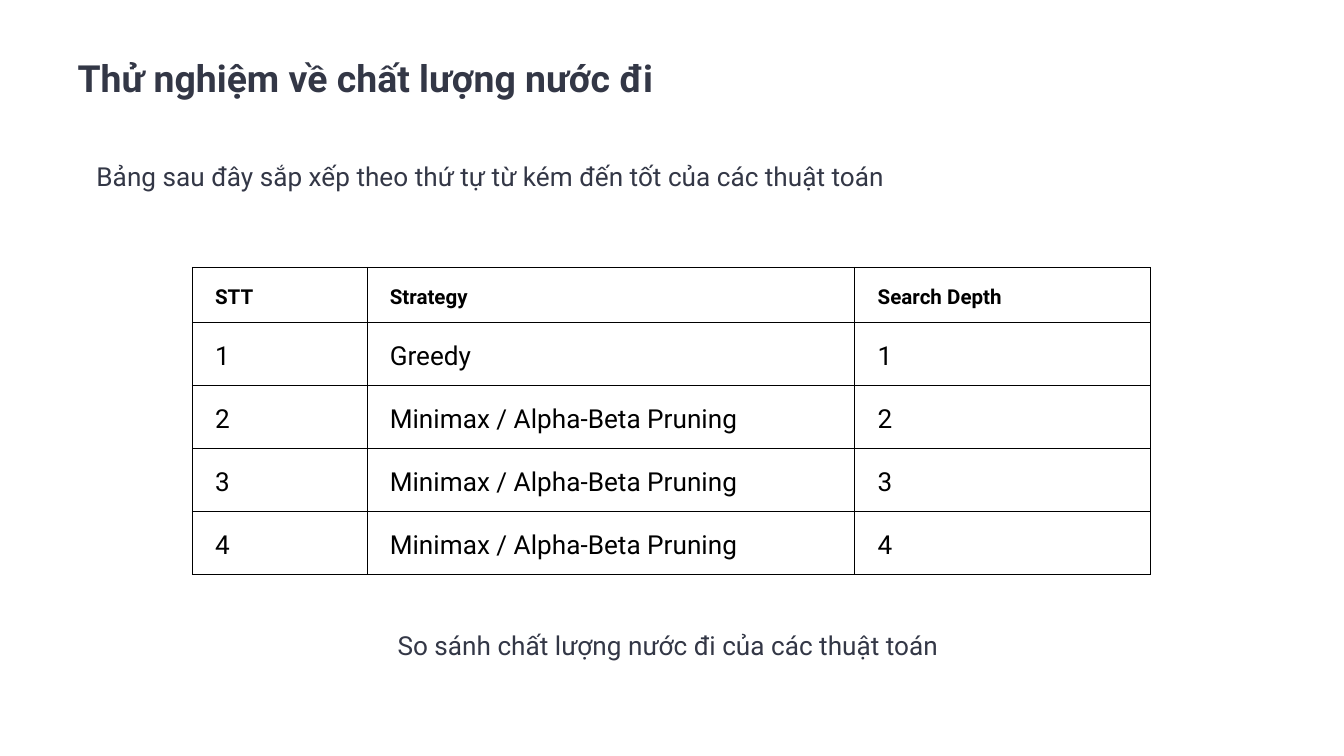
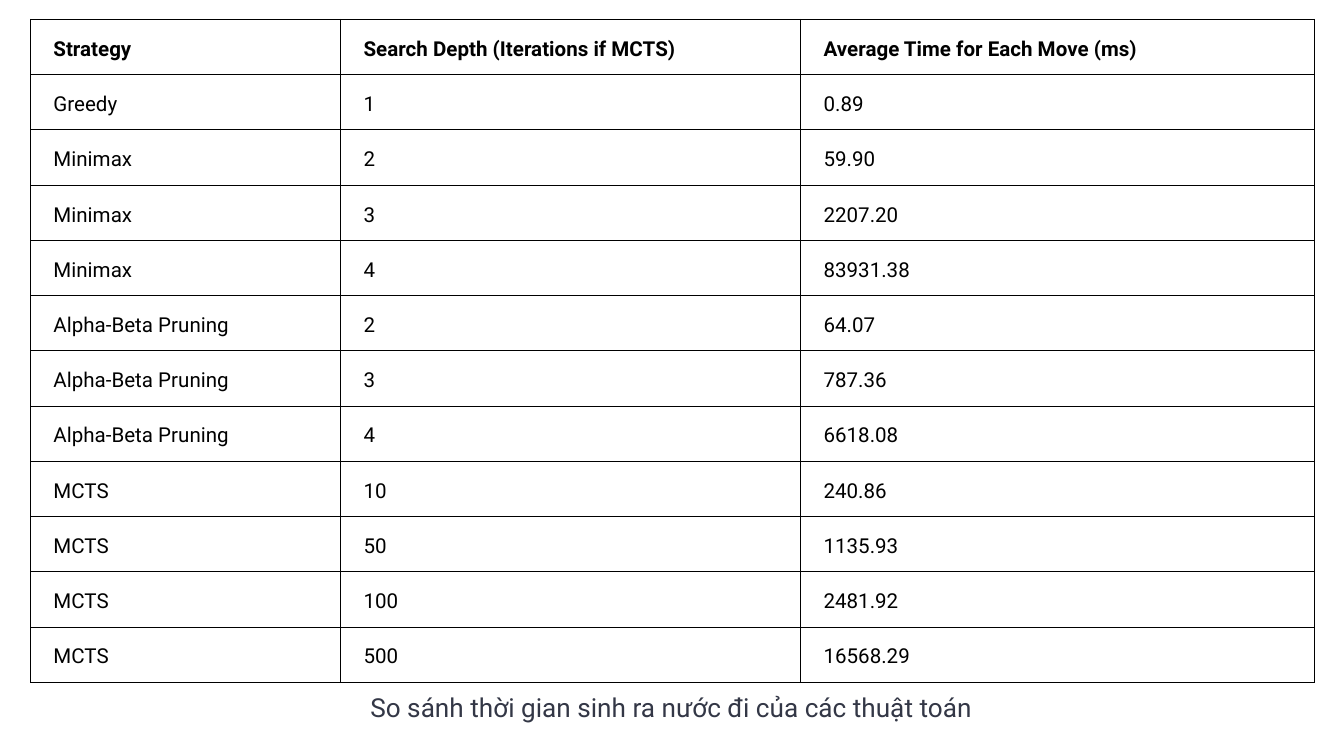
from dataclasses import dataclass
from lxml.etree import SubElement
from pptx import Presentation
from pptx.dml.color import RGBColor
from pptx.enum.text import MSO_ANCHOR, PP_ALIGN
from pptx.oxml.ns import qn
from pptx.util import Pt


@dataclass(frozen=True)
class Theme:
    font: str = "Roboto"
    text: str = "333746"
    table: str = "000000"
    title_size: float = 20
    body_size: float = 14
    header_size: float = 11
    inset: float = 7.2
    indent: float = 5
    border: float = 0.6


theme = Theme()


def add_text(target, text, size=theme.body_size, color=theme.text, bold=False,
             align=PP_ALIGN.LEFT, box=None, indent=0, spacing=None):
    """Write text in a cell, or in a new text box when box is given on a slide."""
    if box:
        target = target.shapes.add_textbox(*map(Pt, box)).text_frame
        target.word_wrap = True
    target.margin_left = target.margin_right = Pt(theme.inset)
    target.margin_top = target.margin_bottom = Pt(theme.inset)
    tf = target if box else target.text_frame
    p = tf.paragraphs[0]
    p.alignment = align
    if indent:
        p._p.get_or_add_pPr().set("marL", str(Pt(indent)))
    if spacing:
        p.line_spacing = spacing
    r = p.add_run()
    r.text = text
    r.font.name, r.font.size, r.font.bold = theme.font, Pt(size), bold
    r.font.color.rgb = RGBColor.from_string(color)


def add_grid(s, rows, left, top, widths, heights, size):
    """Add a plain ruled table whose first row is the bold header."""
    tbl = s.shapes.add_table(len(rows), len(widths), Pt(left), Pt(top),
                             Pt(sum(widths)), Pt(sum(heights))).table
    tbl.first_row = tbl.horz_banding = False
    for col, width in zip(tbl.columns, widths):
        col.width = Pt(width)
    for i, (row, height) in enumerate(zip(rows, heights)):
        tbl.rows[i].height = Pt(height)
        for j, text in enumerate(row):
            cell = tbl.cell(i, j)
            add_text(cell, text, size=size if i else theme.header_size, bold=i == 0,
                     color=theme.table, indent=theme.indent, spacing=1.15)
            cell.vertical_anchor = MSO_ANCHOR.BOTTOM
            tcPr = cell._tc.get_or_add_tcPr()
            for side in ("lnL", "lnR", "lnT", "lnB"):
                ln = SubElement(tcPr, qn(f"a:{side}"), w=str(Pt(theme.border)))
                fill = SubElement(ln, qn("a:solidFill"))
                SubElement(fill, qn("a:srgbClr"), val=theme.table)
            cell.fill.background()


prs = Presentation()
prs.slide_width, prs.slide_height = Pt(720), Pt(405)
blank = prs.slide_layouts[6]

# Slide 1: move quality
s = prs.slides.add_slide(blank)
add_text(s, "Thử nghiệm về chất lượng nước đi", size=theme.title_size, bold=True,
         box=(34.5, 22.5, 490, 24.5))
quality = [("STT", "Strategy", "Search Depth"), ("1", "Greedy", "1")]
quality += [(str(n), "Minimax / Alpha-Beta Pruning", str(n)) for n in (2, 3, 4)]
add_grid(s, quality, 103, 143.25, (93.6, 261.4, 158.4),
         [14.4] * 2 + [28] * 3, theme.body_size)
add_text(s, "So sánh chất lượng nước đi của các thuật toán ", align=PP_ALIGN.CENTER,
         box=(103, 329.75, 513.4, 34.5))
add_text(s, "Bảng sau đây sắp xếp theo thứ tự từ kém đến tốt của các thuật toán",
         box=(44.6, 78.5, 572.4, 44))

# Slide 2: time per move
s = prs.slides.add_slide(blank)
times = [
    ("Strategy", "Search Depth (Iterations if MCTS)", "Average Time for Each Move (ms)"),
    ("Greedy", "1", "0.89"),
    ("Minimax", "2", "59.90"),
    ("Minimax", "3", "2207.20"),
    ("Minimax", "4", "83931.38"),
    ("Alpha-Beta Pruning", "2", "64.07"),
    ("Alpha-Beta Pruning", "3", "787.36"),
    ("Alpha-Beta Pruning", "4", "6618.08"),
    ("MCTS", "10", "240.86"),
    ("MCTS", "50", "1135.93"),
    ("MCTS", "100", "2481.92"),
    ("MCTS", "500", "16568.29"),
]
add_grid(s, times, 16.4, 10.4, (166.2, 246.4, 275), [25.2] * len(times),
         theme.header_size)
add_text(s, "So sánh thời gian sinh ra nước đi của các thuật toán", align=PP_ALIGN.CENTER,
         box=(103, 363, 513.4, 34.5))

prs.save("out.pptx")
